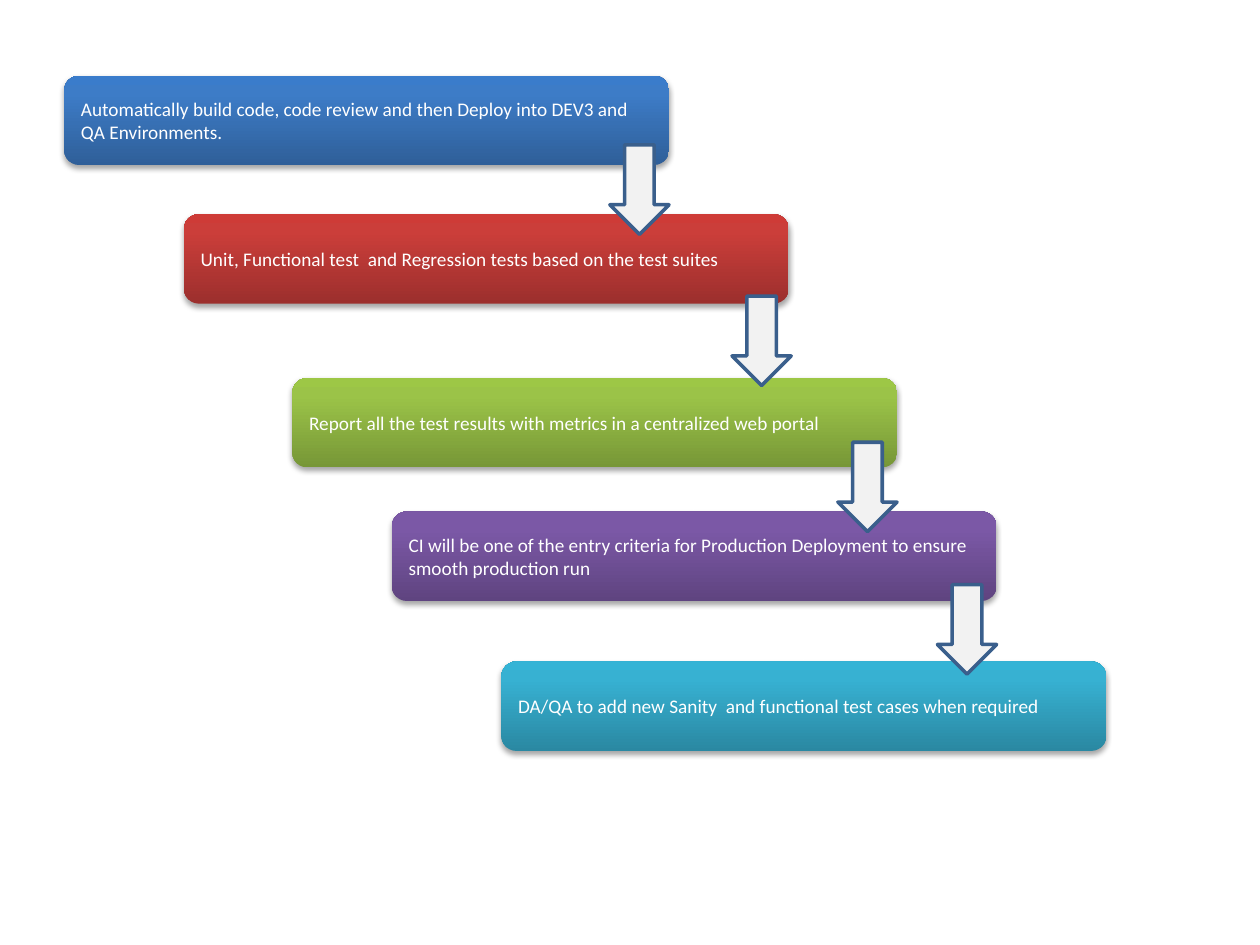
"""Builds a slide with a staircase of five test stages joined by down arrows."""
import pptx
import pptx.dml.color
import pptx.enum.shapes
import pptx.enum.text
import pptx.oxml
import pptx.util
from pptx.oxml.ns import nsdecls

SHAPE = pptx.enum.shapes.MSO_SHAPE


def color(value):
    return pptx.dml.color.RGBColor.from_string(value)


class Deck:
    font, size, ink = "Calibri", 11, "FFFFFF"
    arrow_fill, arrow_line = "F2F2F2", "3A5F8C"
    columns, rows = 100, 75

    def __init__(self):
        self.prs = pptx.Presentation()
        self.prs.slide_width = pptx.util.Inches(10)
        self.prs.slide_height = pptx.util.Inches(7.5)
        self.slide = self.prs.slides.add_slide(self.prs.slide_layouts[6])

    def shape(self, kind, col, row, width, height):
        dx = self.prs.slide_width / self.columns
        dy = self.prs.slide_height / self.rows
        sp = self.slide.shapes.add_shape(
            kind, round(col * dx), round(row * dy), round(width * dx), round(height * dy))
        sp.shadow.inherit = False
        return sp

    def gradient(self, sp, colors):
        stops = "".join(f'<a:gs pos="{pos}"><a:srgbClr val="{c}"/></a:gs>'
                        for pos, c in zip((0, 80000, 100000), colors))
        fill = pptx.oxml.parse_xml(
            f'<a:gradFill {nsdecls("a")} rotWithShape="1"><a:gsLst>{stops}</a:gsLst>'
            '<a:lin ang="16200000" scaled="0"/></a:gradFill>')
        sp._element.spPr.find(pptx.oxml.ns.qn("a:prstGeom")).addnext(fill)

    def shadow(self, sp):
        effects = sp._element.spPr.find(pptx.oxml.ns.qn("a:effectLst"))
        effects.append(pptx.oxml.parse_xml(
            f'<a:outerShdw {nsdecls("a")} blurRad="39370" dist="22860" dir="5400000" '
            'rotWithShape="0"><a:srgbClr val="000000"><a:alpha val="35000"/></a:srgbClr>'
            '</a:outerShdw>'))

    def stage(self, text, col, row, width, height, colors):
        sp = self.shape(SHAPE.ROUNDED_RECTANGLE, col, row, width, height)
        sp.line.fill.background()
        self.gradient(sp, colors)
        self.shadow(sp)
        tf = sp.text_frame
        tf.word_wrap = True
        tf.vertical_anchor = pptx.enum.text.MSO_ANCHOR.MIDDLE
        p = tf.paragraphs[0]
        p.alignment = pptx.enum.text.PP_ALIGN.LEFT
        r = p.add_run()
        r.text = text
        r.font.name = self.font
        r.font.size = pptx.util.Pt(self.size)
        r.font.color.rgb = color(self.ink)

    def arrow(self, col, row, width, height):
        sp = self.shape(SHAPE.DOWN_ARROW, col, row, width, height)
        sp.fill.solid()
        sp.fill.fore_color.rgb = color(self.arrow_fill)
        sp.line.color.rgb = color(self.arrow_line)
        sp.line.width = pptx.util.Pt(2)


STAGE_WIDTH, ARROW_WIDTH, HEIGHT = 48, 4.7, 7.1
STAGES = [
    ("Automatically build code, code review and then Deploy into DEV3 and QA Environments.",
     5.1, 6, ("2F5F99", "3D7CC7", "3A7CCB")),
    ("Unit, Functional test  and Regression tests based on the test suites",
     14.6, 17, ("9C2F2D", "CB3E3A", "CE3B37")),
    ("Report all the test results with metrics in a centralized web portal",
     23.2, 30, ("779737", "9BC348", "9DC746")),
    ("CI will be one of the entry criteria for Production Deployment to ensure "
     "smooth production run",
     31.1, 40.6, ("5F4480", "7B58A6", "7C57A8")),
    ("DA/QA to add new Sanity  and functional test cases when required",
     39.8, 52.5, ("2A88A2", "37B1D2", "34B4D6")),
]
ARROWS = [(48.4, 11.5), (58.1, 23.5), (66.5, 35.1), (74.4, 46.4)]

deck = Deck()
for text, col, row, colors in STAGES:
    deck.stage(text, col, row, STAGE_WIDTH, HEIGHT, colors)
for col, row in ARROWS:
    deck.arrow(col, row, ARROW_WIDTH, HEIGHT)
deck.prs.save("out.pptx")
